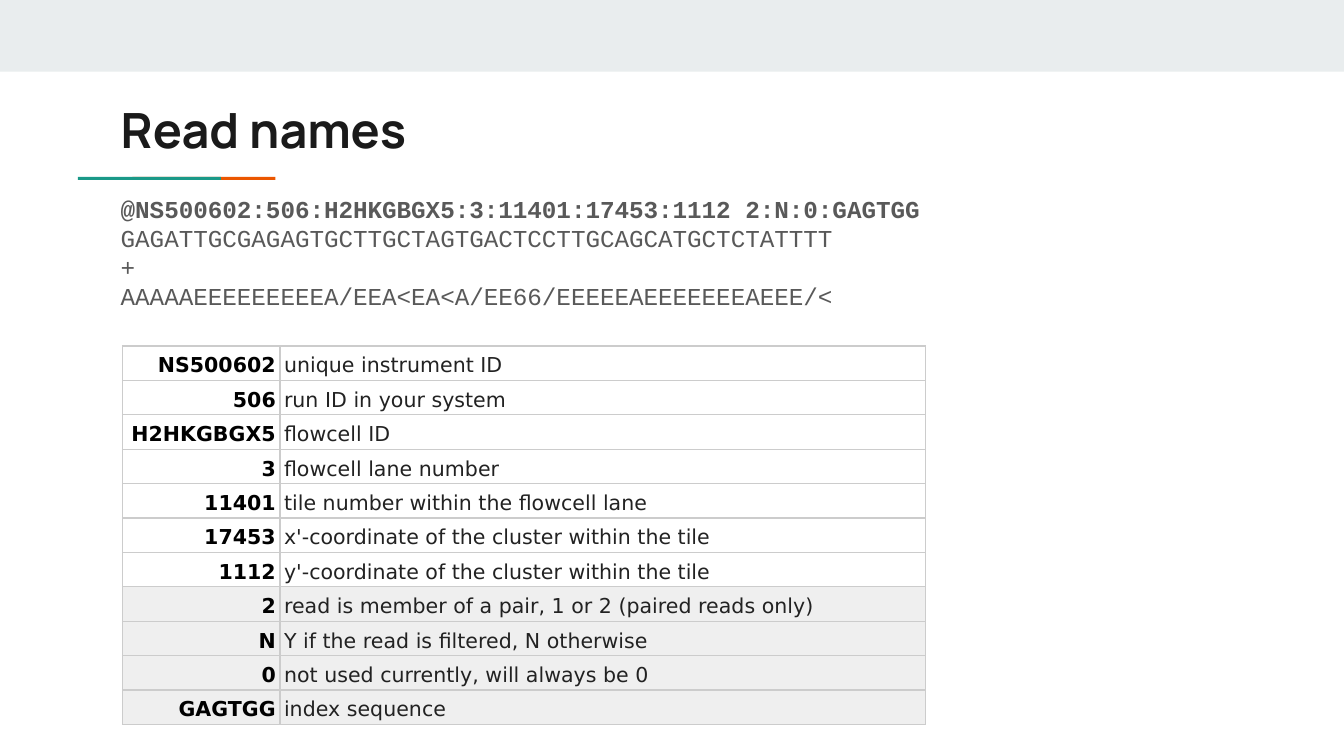
from lxml import etree
from pptx import Presentation
from pptx.dml.color import RGBColor as RGB
from pptx.enum.shapes import MSO_SHAPE as SHAPE
from pptx.enum.text import MSO_ANCHOR as ANCHOR, PP_ALIGN as ALIGN
from pptx.oxml.ns import qn
from pptx.util import Pt

C = {"band": "E9EDEE", "orange": "EB5600", "teal": "1A9988",
     "title": "1A1A1A", "body": "595959", "key": "000000",
     "meaning": "222222", "border": "CCCCCC", "white": "FFFFFF",
     "shade": "EFEFEF"}


def style(p, font, size, color, bold):
    for r in p.runs:
        r.font.name, r.font.size, r.font.bold = font, Pt(size), bold
        r.font.color.rgb = RGB.from_string(C[color])


def add_borders(cell):
    pr = cell._tc.get_or_add_tcPr()
    for i, side in enumerate(("lnL", "lnR", "lnT", "lnB")):
        ln = etree.Element(qn("a:" + side), w=str(Pt(0.75)))
        fill = etree.SubElement(ln, qn("a:solidFill"))
        etree.SubElement(fill, qn("a:srgbClr"), val=C["border"])
        pr.insert(i, ln)


prs = Presentation()
prs.slide_width, prs.slide_height = Pt(720), Pt(405)
s = prs.slides.add_slide(prs.slide_layouts[6])

# Top band and accent line: two equal bars, teal overlapping orange
for color, x, y, w, h in (("band", 0, 0, 720, 38.4),
                          ("orange", 71, 94.8, 76.6, 1.6),
                          ("teal", 41.8, 94.8, 76.6, 1.6)):
    sp = s.shapes.add_shape(SHAPE.RECTANGLE, Pt(x), Pt(y), Pt(w), Pt(h))
    sp.shadow.inherit = False
    sp.fill.solid()
    sp.fill.fore_color.rgb = RGB.from_string(C[color])
    sp.line.fill.background()

# Title and FASTQ record
title = ["Read names"]
record = ["@NS500602:506:H2HKGBGX5:3:11401:17453:1112 2:N:0:GAGTGG",
          "GAGATTGCGAGAGTGCTTGCTAGTGACTCCTTGCAGCATGCTCTATTTT",
          "+",
          "AAAAAEEEEEEEEEA/EEA<EA<A/EE66/EEEEEAEEEEEEEAEEE/<"]
for lines, y, h, font, size, color in (
        (title, 46.4, 42.5, "Manrope", 26, "title"),
        (record, 96.8, 77, "Courier New", 13, "body")):
    tf = s.shapes.add_textbox(Pt(57.6), Pt(y), Pt(605.5), Pt(h)).text_frame
    tf.word_wrap = True
    tf.margin_left = tf.margin_right = tf.margin_top = tf.margin_bottom = Pt(7.2)
    tf.text = "\n".join(lines)
    for i, p in enumerate(tf.paragraphs):
        style(p, font, size, color, i == 0)

# Table of read name fields
fields = [("NS500602", "unique instrument ID"),
          ("506", "run ID in your system"),
          ("H2HKGBGX5", "flowcell ID"),
          ("3", "flowcell lane number"),
          ("11401", "tile number within the flowcell lane"),
          ("17453", "x'-coordinate of the cluster within the tile"),
          ("1112", "y'-coordinate of the cluster within the tile"),
          ("2", "read is member of a pair, 1 or 2 (paired reads only)"),
          ("N", "Y if the read is filtered, N otherwise"),
          ("0", "not used currently, will always be 0"),
          ("GAGTGG", "index sequence")]
first_shaded = 7
row_h = 18.45
table = s.shapes.add_table(len(fields), 2, Pt(65.6), Pt(185.4), Pt(430.4),
                           Pt(row_h * len(fields))).table
table.first_row = table.horz_banding = False
table.columns[0].width, table.columns[1].width = Pt(84.4), Pt(346)
for i, field in enumerate(fields):
    table.rows[i].height = Pt(row_h)
    for j, text in enumerate(field):
        cell = table.cell(i, j)
        cell.fill.solid()
        cell.fill.fore_color.rgb = RGB.from_string(
            C["shade" if i >= first_shaded else "white"])
        add_borders(cell)
        cell.vertical_anchor = ANCHOR.BOTTOM
        cell.margin_left = cell.margin_right = Pt(2.2)
        cell.margin_top = cell.margin_bottom = Pt(1.44)
        p = cell.text_frame.paragraphs[0]
        p.text = text
        p.line_spacing = 1.15
        p.alignment = ALIGN.LEFT if j else ALIGN.RIGHT
        style(p, "DejaVu Sans", 11, "meaning" if j else "key", j == 0)

prs.save("out.pptx")
